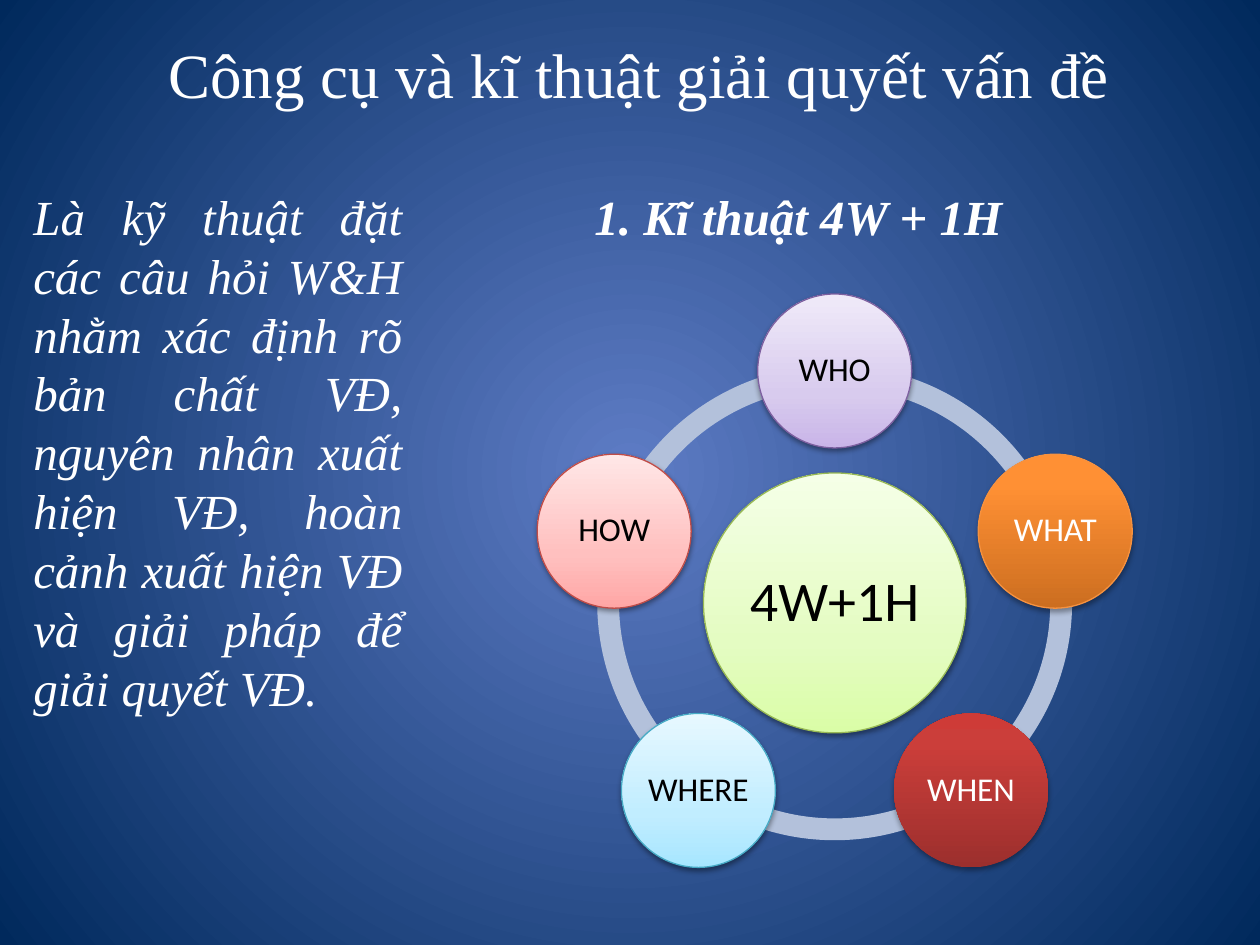
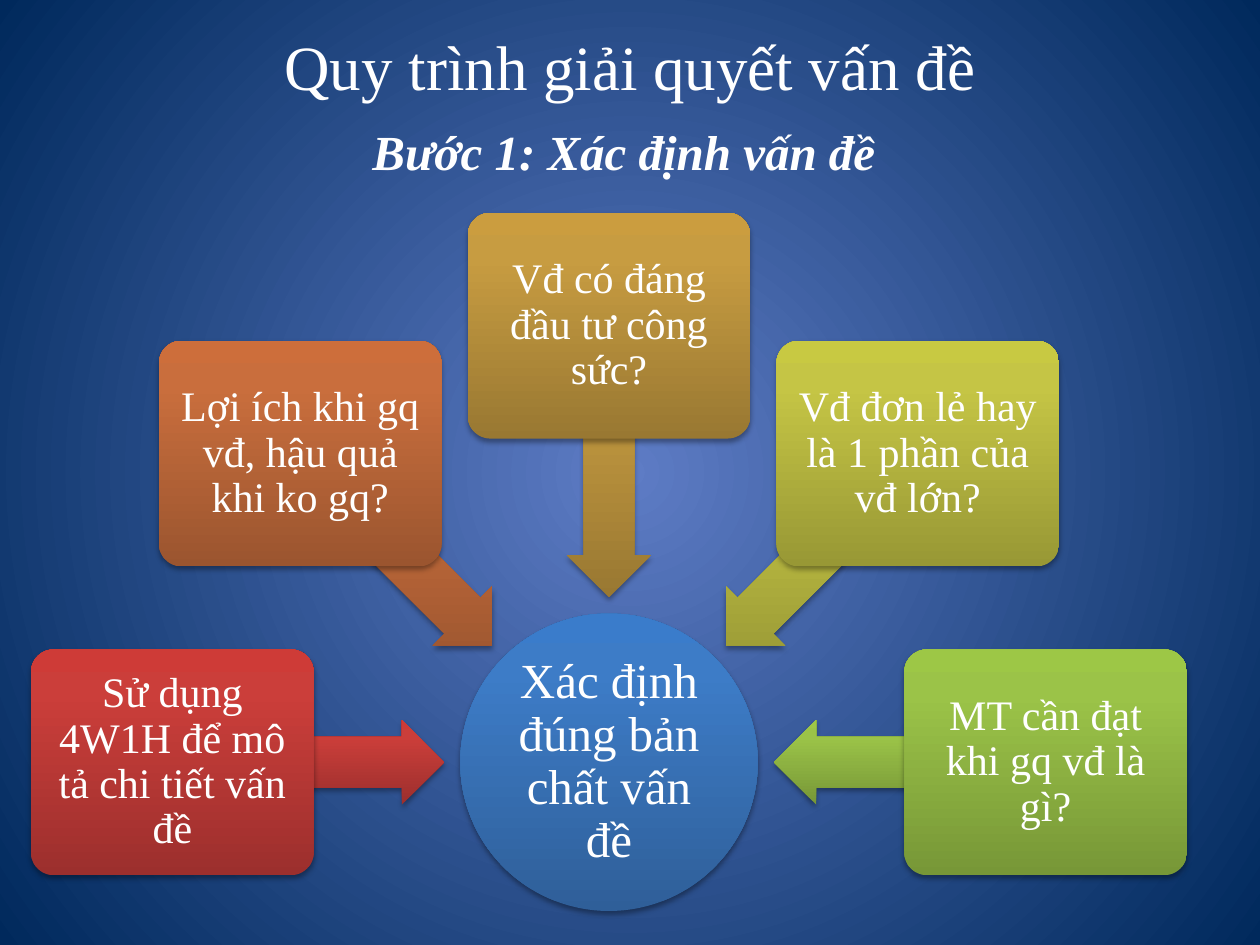
import math
from dataclasses import dataclass

from pptx import Presentation
from pptx import util as u
from pptx.dml.color import RGBColor
from pptx.enum import shapes, text
from pptx.oxml import parse_xml
from pptx.oxml.ns import nsdecls


@dataclass(frozen=True)
class Box:
    left: float
    top: float
    width: float
    height: float

    @property
    def center(self):
        return self.left + self.width / 2, self.top + self.height / 2

    @property
    def lengths(self):
        return [u.Pt(value) for value in (self.left, self.top, self.width, self.height)]

    @classmethod
    def around(cls, center, width, height):
        return cls(center[0] - width / 2, center[1] - height / 2, width, height)


@dataclass(frozen=True)
class Finish:
    middle_stop: int
    shadow_alpha: int
    shadow_distance: float
    ink: str


@dataclass(frozen=True)
class Paint:
    colors: tuple
    finish: Finish
    outline: str = ""


@dataclass(frozen=True)
class Theme:
    serif: str = "Times New Roman"
    sans: str = "Calibri"
    white: str = "FFFFFF"
    ring: str = "B3C1DB"
    background: tuple = ((0, "5E7CC5"), (100, "00295C"))
    title_size: int = 36
    body_size: int = 28
    card_size: int = 24
    hub_size: int = 32
    node_size: int = 19
    shadow_blur: float = 3.1


THEME = Theme()
STRONG = Finish(80, 35, 1.8, THEME.white)
SOFT = Finish(35, 38, 1.6, "000000")

RED = Paint(("9C2F2D", "CB3E3A", "CE3B37"), STRONG)
RUST = Paint(("9B552F", "C96E3D", "CD6E3B"), STRONG)
GOLD = Paint(("997832", "C79C41", "CB9D3F"), STRONG)
OLIVE = Paint(("989835", "C5C545", "C8C942"), STRONG)
GREEN = Paint(("779737", "9BC348", "9DC746"), STRONG)
BLUE = Paint(("2F5F99", "3D7CC7", "3A7CCB"), STRONG)
ORANGE = Paint(("CC6E20", "FF9034", "FF9136"), STRONG, "F69240")
LIME = Paint(("DAFDA7", "E4FCC2", "F5FFE7"), SOFT, "98B955")
LILAC = Paint(("C9B5E8", "D8CBEE", "F0EAF9"), SOFT, "7D60A0")
SKY = Paint(("A7E6FF", "C1EDFF", "E7F8FF"), SOFT, "46AAC5")
PINK = Paint(("FFA6A5", "FFC0BF", "FFE7E7"), SOFT, "BF4C48")

QUESTIONS = [("WHO", LILAC), ("WHAT", ORANGE), ("WHEN", RED), ("WHERE", SKY), ("HOW", PINK)]
CARDS = [
    ("Sử dụng 4W1H để mô tả chi tiết vấn đề", RED),
    ("Lợi ích khi gq vđ, hậu quả khi ko gq?", RUST),
    ("Vđ có đáng đầu tư công sức?", GOLD),
    ("Vđ đơn lẻ hay là 1 phần của vđ lớn?", OLIVE),
    ("MT cần đạt khi gq vđ là gì?", GREEN),
]
DEFINITION = (
    "Là kỹ thuật đặt các câu hỏi W&H nhằm xác định rõ bản chất VĐ, nguyên nhân "
    "xuất hiện VĐ, hoàn cảnh xuất hiện VĐ và giải pháp để giải quyết VĐ."
)


def assign(target, values):
    for name, value in values.items():
        setattr(target, name, value)


def polar(center, radius, degrees):
    angle = math.radians(degrees)
    return center[0] + radius * math.cos(angle), center[1] + radius * math.sin(angle)


def apply_gradient(fill, element, stops, direction):
    fill.gradient()
    gradient = element.xpath(".//a:gradFill")[0]
    for child in list(gradient):
        gradient.remove(child)
    gradient.set("rotWithShape", "0")
    marks = "".join(
        f'<a:gs pos="{position * 1000}"><a:srgbClr val="{color}"/></a:gs>'
        for position, color in stops
    )
    gradient.append(parse_xml(f'<a:gsLst {nsdecls("a")}>{marks}</a:gsLst>'))
    gradient.append(parse_xml(direction))


def add_page(deck):
    page = deck.slides.add_slide(deck.slide_layouts[6])
    direction = (
        f'<a:path {nsdecls("a")} path="circle">'
        '<a:fillToRect l="50000" t="50000" r="50000" b="50000"/></a:path>'
    )
    apply_gradient(page.background.fill, page.element, THEME.background, direction)
    return page


def write(shape, words, frame_format, para_format, font_format, color):
    frame = shape.text_frame
    assign(frame, {"word_wrap": True, **frame_format})
    para = frame.paragraphs[0]
    assign(para, para_format)
    span = para.add_run()
    span.text = words
    assign(span.font, font_format)
    span.font.color.rgb = RGBColor.from_string(color)


def add_words(page, box, words, size, align, anchor=text.MSO_ANCHOR.TOP, space_before=0, **style):
    write(
        page.shapes.add_textbox(*box.lengths),
        words,
        {"vertical_anchor": anchor},
        {"alignment": align, "space_before": u.Pt(space_before)},
        {"name": THEME.serif, "size": u.Pt(size), **style},
        THEME.white,
    )


def add_title(page, box, words):
    add_words(page, box, words, THEME.title_size, text.PP_ALIGN.CENTER, text.MSO_ANCHOR.MIDDLE)


def add_glossy(page, kind, box, paint):
    shape = page.shapes.add_shape(kind, *box.lengths)
    finish = paint.finish
    stops = zip((0, finish.middle_stop, 100), paint.colors)
    direction = f'<a:lin {nsdecls("a")} ang="16200000" scaled="0"/>'
    apply_gradient(shape.fill, shape.element, stops, direction)
    if paint.outline:
        shape.line.color.rgb = RGBColor.from_string(paint.outline)
        shape.line.width = u.Pt(0.75)
    else:
        shape.line.fill.background()
    shape.shadow.inherit = False
    shape.element.xpath(".//a:effectLst")[0].append(parse_xml(
        f'<a:outerShdw {nsdecls("a")} blurRad="{u.Pt(THEME.shadow_blur)}" '
        f'dist="{u.Pt(finish.shadow_distance)}" dir="5400000" rotWithShape="0">'
        f'<a:srgbClr val="000000"><a:alpha val="{finish.shadow_alpha * 1000}"/></a:srgbClr>'
        '</a:outerShdw>'
    ))
    return shape


def add_label(shape, words, paint, font_name, size, inset):
    sides = ("margin_left", "margin_top", "margin_right", "margin_bottom")
    write(
        shape,
        words,
        {"vertical_anchor": text.MSO_ANCHOR.MIDDLE, **dict.fromkeys(sides, u.Pt(inset))},
        {"alignment": text.PP_ALIGN.CENTER, "line_spacing": 0.9},
        {"name": font_name, "size": u.Pt(size)},
        paint.finish.ink,
    )


def add_question_ring(page, box):
    step = 360 / len(QUESTIONS)
    angles = [270 + step * index for index in range(len(QUESTIONS))]
    for angle in angles:
        arc = page.shapes.add_shape(shapes.MSO_SHAPE.BLOCK_ARC, *box.lengths)
        for index, value in enumerate((angle % 360 * 0.6, (angle + step) % 360 * 0.6, 0.046)):
            arc.adjustments[index] = value
        arc.fill.solid()
        arc.fill.fore_color.rgb = RGBColor.from_string(THEME.ring)
        arc.line.fill.background()
        arc.shadow.inherit = False

    oval = shapes.MSO_SHAPE.OVAL
    hub = add_glossy(page, oval, Box.around(box.center, 150, 148.5), LIME)
    add_label(hub, "4W+1H", LIME, THEME.sans, THEME.hub_size, 3)
    for angle, (words, paint) in zip(angles, QUESTIONS):
        place = Box.around(polar(box.center, 132.5, angle), 88, 88)
        node = add_glossy(page, oval, place, paint)
        add_label(node, words, paint, THEME.sans, THEME.node_size, 2)


def add_converging_cards(page, box):
    hub_size = 170
    center = box.center[0], box.top + box.height - hub_size / 2
    hub_box = Box.around(center, hub_size, hub_size)
    hub = add_glossy(page, shapes.MSO_SHAPE.OVAL, hub_box, BLUE)
    add_label(hub, "Xác định đúng bản chất vấn đề", BLUE, THEME.serif, THEME.body_size, 1.5)
    for index, (words, paint) in enumerate(CARDS):
        angle = (180 + 45 * index) % 360
        arrow_box = Box.around(polar(center, 172, angle), 155.5, 48.4)
        arrow = add_glossy(page, shapes.MSO_SHAPE.LEFT_ARROW, arrow_box, paint)
        arrow.rotation = angle
        arrow.adjustments[0] = 0.6
        arrow.adjustments[1] = 0.5
        card_box = Box.around(polar(center, 249.5, angle), 161.5, 129)
        card = add_glossy(page, shapes.MSO_SHAPE.ROUNDED_RECTANGLE, card_box, paint)
        card.adjustments[0] = 0.1
        add_label(card, words, paint, THEME.serif, THEME.card_size, 3.6)


def build_technique_page(deck):
    page = add_page(deck)
    add_title(page, Box(41, 14, 648, 56), "Công cụ và kĩ thuật giải quyết vấn đề")
    add_words(page, Box(332.6, 103, 306, 41), "1. Kĩ thuật 4W + 1H",
              THEME.body_size, text.PP_ALIGN.LEFT, bold=True, italic=True)
    add_words(page, Box(12, 103, 225, 334), DEFINITION,
              THEME.body_size, text.PP_ALIGN.JUSTIFY, italic=True)
    add_question_ring(page, Box(341.3, 208.8, 271.4, 271.4))


def build_process_page(deck):
    page = add_page(deck)
    add_title(page, Box(36, 12.5, 648, 50), "Quy trình giải quyết vấn đề")
    add_words(page, Box(12, 66, 696, 46), "Bước 1: Xác định vấn đề ",
              THEME.body_size, text.PP_ALIGN.CENTER, space_before=5.6, bold=True, italic=True)
    add_converging_cards(page, Box(18, 121.6, 660, 399))


def main():
    deck = Presentation()
    assign(deck, {"slide_width": u.Pt(720), "slide_height": u.Pt(540)})
    build_technique_page(deck)
    build_process_page(deck)
    deck.save("out.pptx")


if __name__ == "__main__":
    main()
